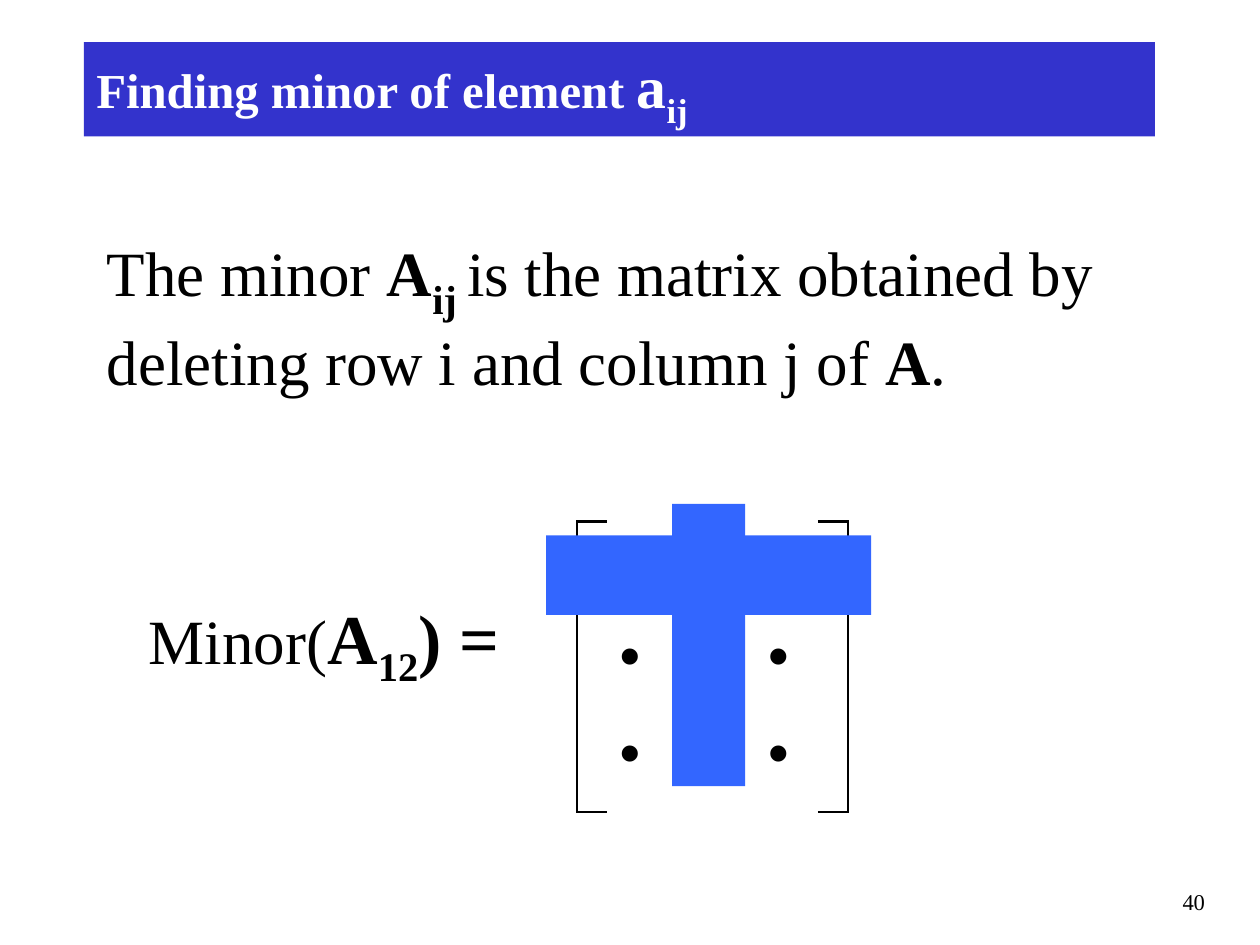
from lxml import etree
from pptx import Presentation
from pptx.dml.color import RGBColor
from pptx.enum import shapes, text
from pptx.oxml.ns import qn
from pptx.util import Pt

BLACK = RGBColor(0, 0, 0)
WHITE = RGBColor(255, 255, 255)
TITLE_BLUE = RGBColor(0x33, 0x33, 0xCC)
STRIKE_BLUE = RGBColor(0x33, 0x66, 0xFF)
SERIF = "Times New Roman"

# Runs: text, size, bold, subscript
TITLE = [("Finding minor of element ", 27.9, True, False),
         ("a", 34.1, True, False), ("ij", 34.1, True, True)]
DEFINITION = [("The minor ", 36, False, False), ("A", 36, True, False),
              ("ij ", 40, True, True),
              ("is the matrix obtained by deleting row i and column j of ", 36, False, False),
              ("A", 36, True, False), (".", 36, False, False)]
MINOR = [("Minor(", 36, False, False), ("A", 40, True, False),
         ("12", 40, True, True), (") =", 40, True, False)]
PAGE = [("40", 12.9, False, False)]

MATRIX = [[".", "•", "•", "•", ""],
          ["", "•", "•", "•", ""],
          ["", "•", "•", "•", ""]]
MATRIX_AT = (329.8, 298)
COL_WIDTHS = [17.3, 45.4, 39.6, 35.3, 17.3]
ROW_HEIGHTS = [55.4, 45.4, 45.4]
BRACKET_WIDTH = 1.47

STRIKES = [(312, 306, 185.8, 45.4), (384, 288, 41.8, 161.3)]  # row, column


def add_runs(sp, runs, color=BLACK, align=text.PP_ALIGN.LEFT):
    tf = sp.text_frame
    tf.word_wrap = True
    p = tf.paragraphs[0]
    p.alignment = align
    p.font.name = SERIF
    p.font.color.rgb = color
    for words, size, bold, sub in runs:
        r = p.add_run()
        r.text = words
        r.font.size = Pt(size)
        r.font.bold = bold
        if sub:
            r.font._element.set("baseline", "-25000")


def add_text(slide, box, runs, **style):
    add_runs(slide.shapes.add_textbox(*map(Pt, box)), runs, **style)


def add_block(slide, box, color):
    sp = slide.shapes.add_shape(shapes.MSO_SHAPE.RECTANGLE, *map(Pt, box))
    sp.shadow.inherit = False
    sp.fill.solid()
    sp.fill.fore_color.rgb = color
    sp.line.fill.background()
    return sp


def set_borders(cell, sides):
    """Draw the given sides (of L, R, T, B) and clear the others."""
    tc_pr = cell._tc.get_or_add_tcPr()
    for i, side in enumerate("LRTB"):
        ln = etree.Element(qn(f"a:ln{side}"), w=str(Pt(BRACKET_WIDTH)))
        if side in sides:
            fill = etree.SubElement(ln, qn("a:solidFill"))
            etree.SubElement(fill, qn("a:srgbClr"), val=str(BLACK))
        else:
            etree.SubElement(ln, qn("a:noFill"))
        tc_pr.insert(i, ln)


def add_matrix(slide):
    last_row, last_col = len(MATRIX) - 1, len(MATRIX[0]) - 1
    size = (sum(COL_WIDTHS), sum(ROW_HEIGHTS))
    table = slide.shapes.add_table(last_row + 1, last_col + 1,
                                   *map(Pt, MATRIX_AT + size)).table
    table.first_row = table.horz_banding = False
    for col, width in zip(table.columns, COL_WIDTHS):
        col.width = Pt(width)
    for row, height in zip(table.rows, ROW_HEIGHTS):
        row.height = Pt(height)
    for i, values in enumerate(MATRIX):
        for j, value in enumerate(values):
            cell = table.cell(i, j)
            cell.fill.background()
            cell.text = value
            font = cell.text_frame.paragraphs[0].font
            font.color.rgb = BLACK
            font.bold = True
            font.name, font.size = ("Arial", Pt(32)) if value == "•" else (SERIF, Pt(40))
            sides = {0: "L", last_col: "R"}.get(j, "")
            if sides:
                sides += {0: "T", last_row: "B"}.get(i, "")
            set_borders(cell, sides)


prs = Presentation()
prs.slide_width, prs.slide_height = Pt(720), Pt(540)
slide = prs.slides.add_slide(prs.slide_layouts[6])

add_text(slide, (545.8, 504, 149.8, 23.8), PAGE, align=text.PP_ALIGN.RIGHT)
title = add_block(slide, (48, 24, 612, 54), TITLE_BLUE)
title.text_frame.vertical_anchor = text.MSO_ANCHOR.MIDDLE
add_runs(title, TITLE, color=WHITE)
add_text(slide, (54, 126, 612, 105), DEFINITION)
add_matrix(slide)
add_text(slide, (78, 336, 219.6, 62), MINOR)
for box in STRIKES:
    add_block(slide, box, STRIKE_BLUE)

prs.save("out.pptx")
